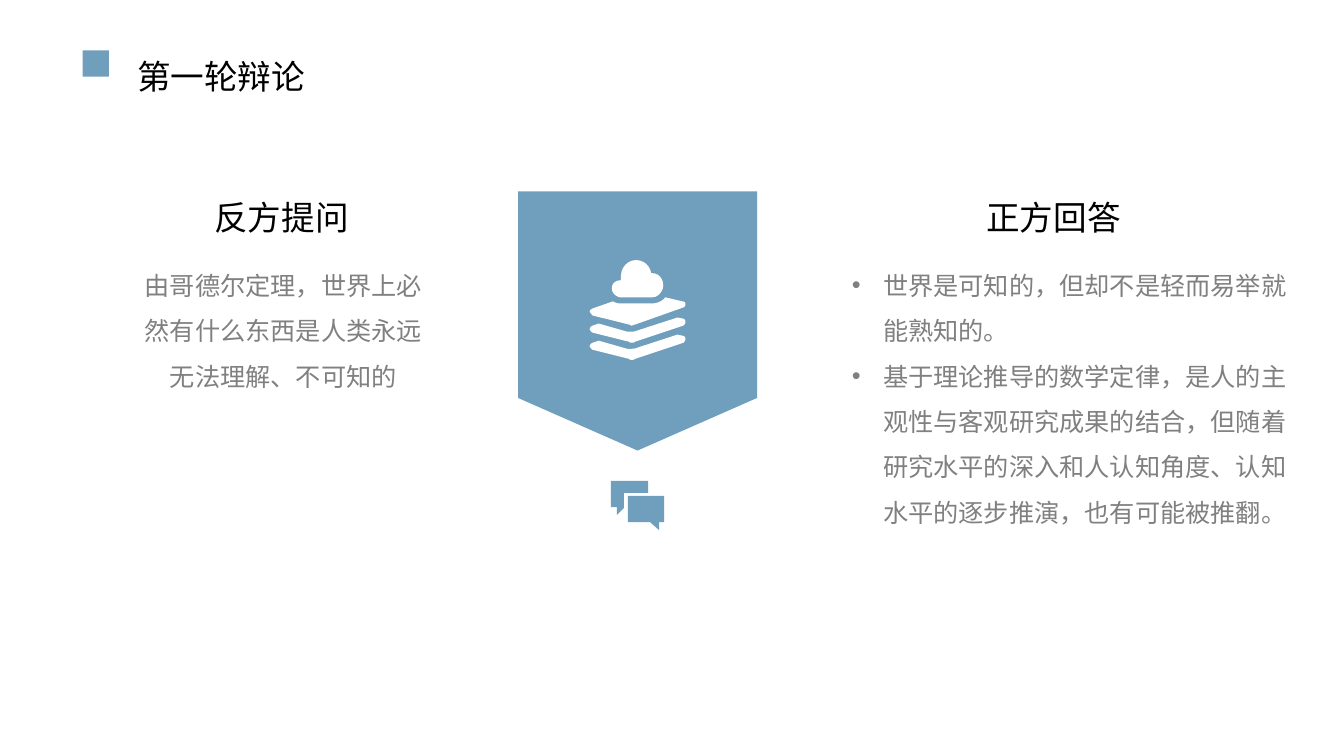
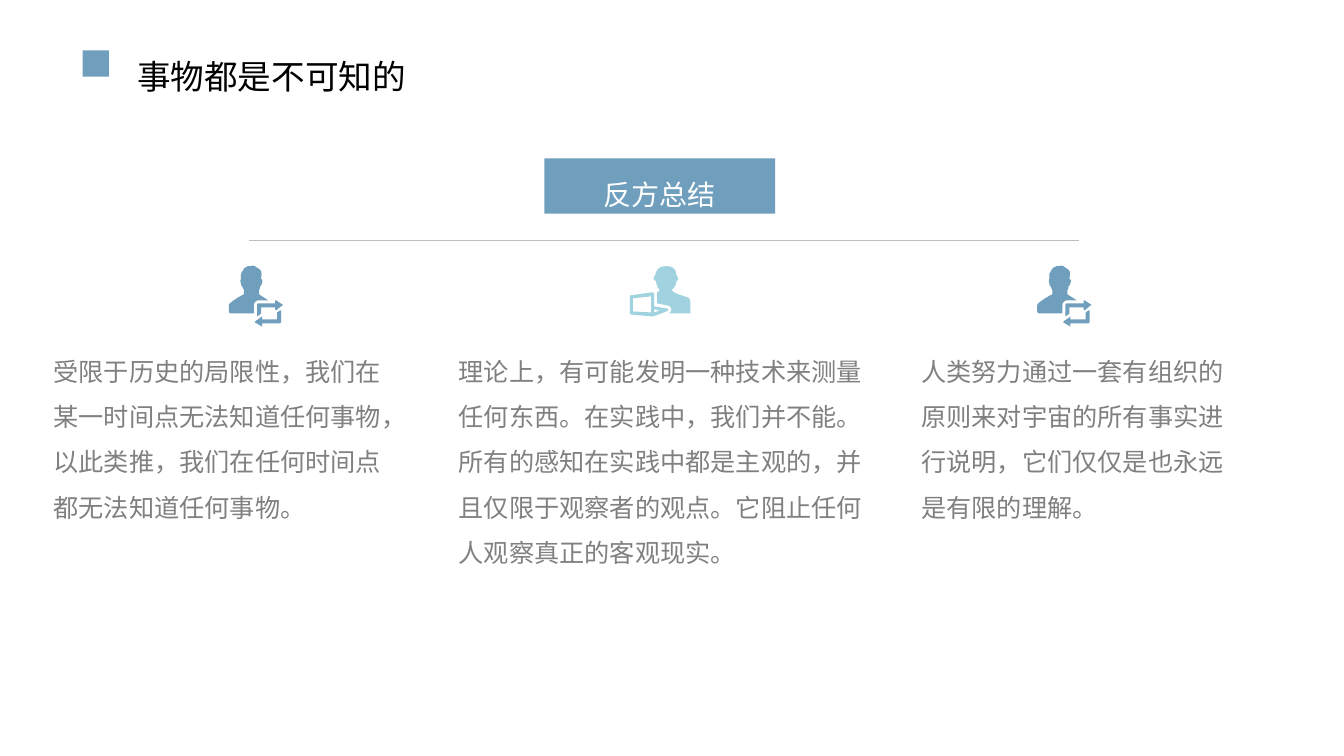
from dataclasses import dataclass

from lxml import etree
from pptx import Presentation
from pptx import util as u
from pptx.dml.color import RGBColor
from pptx.enum import shapes, text
from pptx.oxml.ns import qn

CELL = u.Inches(0.1)  # all boxes are measured in cells of this square grid
COLUMNS, ROWS = 133.33, 75


@dataclass(frozen=True)
class Theme:
    font: str = "Noto Sans CJK SC"
    accent: str = "6F9FBD"
    light: str = "A1D2E0"
    white: str = "FFFFFF"
    ink: str = "000000"
    body: str = "808080"
    rule: str = "BFBFBF"
    heading_size: int = 24
    banner_size: int = 20
    body_size: int = 18
    body_spacing: float = 1.5


THEME = Theme()


@dataclass(frozen=True)
class Box:
    x: float
    y: float
    w: float
    h: float

    def inner(self, dx, dy, w, h):
        return Box(self.x + dx, self.y + dy, w, h)

    @property
    def emu(self):
        return [u.Emu(round(v * CELL)) for v in (self.x, self.y, self.w, self.h)]


# Icon outlines in tenths of a cell: two numbers make a corner,
# six numbers make a Bezier curve, one string is one closed outline.
SHEET = ("87,74 92,75 94,75,95,77,95,78 95,80,94,81,93,82 45,98 "
         "44,99,43,99,41,99 41,99,40,99,39,98 3,89 2,89,1,87,0,86 "
         "0,84,1,83,3,82 9,80 37,88 39,88,40,88,41,88 43,88,45,88,47,87")
TOP_SHEET = ("75,37 92,41 94,41,95,42,95,44 95,45,94,47,93,47 45,64 "
             "44,64,43,65,41,65 41,65,40,64,39,64 3,55 2,54,1,53,0,51 "
             "0,50,1,49,3,48 23,41 25,42,27,43,30,43 62,43 67,43,72,41,75,37")
CLOUD = ("46,0 54,0,60,6,61,13 62,13 68,13,73,18,73,25 73,31,68,37,62,37 30,37 "
         "26,36,22,33,22,28 22,23,26,20,31,20 31,18,31,17,31,16 31,7,38,0,46,0")
CHAT = ["17,15 53,15 53,41 48,41 48,49 39,41 17,41",
        "0,0 37,0 37,12 13,12 13,27 6,34 6,26 0,26"]
PERSON_SWAP = [
    "51,44 52,44 52,55 52,56,51,57,50,57 33,57 33,60 26,56 26,55 33,50 33,53 "
    "48,53 48,46",
    "46,34 47,34 53,38 54,39 53,39 47,44 46,43 46,41 32,41 32,47 31,48 28,50 "
    "28,39 28,38,28,37,30,37 46,37",
    "22,0 24,-1,26,0,27,1 29,2,30,3,30,3 30,3,34,4,32,12 32,13 33,13,34,14,33,17 "
    "32,19,32,20,31,20 31,21,31,22,30,24 30,28 31,29,35,31,39,34 30,34 "
    "27,34,25,36,25,39 25,47 2,47 1,47,0,46,0,45 0,40 0,39,0,38,1,37 "
    "7,32,13,29,15,28 15,24 14,22,14,21,13,20 13,20,12,19,12,17 "
    "11,14,12,13,12,13 12,12 12,11,12,9,12,8 13,6,14,4,15,3 15,2,16,2,17,1 "
    "18,1,19,0,19,0 20,0,21,0,22,0",
]
PERSON_READING = [
    "24,43 24,46 30,44",
    "21,30 3,32 3,45 21,46",
    "22,26 23,26,23,27,24,27 24,40 36,42 37,42,37,42,38,43 38,44,37,45,36,45 "
    "23,50 22,50 1,48 0,48,0,47,0,46 0,30 0,29,0,29,1,29",
    "36,0 45,0,46,6,46,9 46,9,50,13,46,15 46,15,46,20,42,23 42,23,40,25,48,28 "
    "57,31 57,31,60,31,60,38 60,47 39,47 40,46,41,45,41,43 41,41,39,39,37,39 "
    "27,37 27,28 27,28,27,27,27,26 31,24,29,23,29,23 26,20,26,15,26,15 "
    "21,13,25,9,25,9 26,6,27,0,36,0",
]


def rgb(value):
    return RGBColor.from_string(value)


def paint(shape, color):
    shape.fill.solid()
    shape.fill.fore_color.rgb = rgb(color)
    shape.line.fill.background()
    shape.shadow.inherit = False


def outline_points(outline, steps=6):
    """Turn one outline string into corner points, sampling its curves."""
    points = []
    for token in outline.split():
        numbers = [float(n) for n in token.split(",")]
        pairs = list(zip(numbers[::2], numbers[1::2]))
        if len(pairs) == 1:
            points += pairs
            continue
        curve = [points[-1]] + pairs
        for step in range(1, steps + 1):
            t = step / steps
            weights = ((1 - t) ** 3, 3 * t * (1 - t) ** 2, 3 * t * t * (1 - t), t ** 3)
            points.append(tuple(sum(k * p[axis] for k, p in zip(weights, curve))
                                for axis in (0, 1)))
    return points


def lifted(points, amount):
    return [(x, y - amount) for x, y in points]


def draw_icon(slide, box, outlines, color):
    """Draw lists of points, in tenths of a cell, from the box's corner."""
    builder = None
    for points in outlines:
        start, *rest = [(x * CELL / 10, y * CELL / 10) for x, y in points]
        if builder is None:
            builder = slide.shapes.build_freeform(*start)
        else:
            builder.move_to(*start)
        builder.add_line_segments(rest, close=True)
    left, top = box.emu[:2]
    paint(builder.convert_to_shape(left, top), color)


def set_bullet(paragraph, bulleted):
    props = paragraph._p.get_or_add_pPr()
    indent = u.Inches(0.31) if bulleted else 0
    props.set("marL", str(int(indent)))
    props.set("indent", str(-int(indent)))
    if bulleted:
        etree.SubElement(props, qn("a:buFont")).set("typeface", "Arial")
        etree.SubElement(props, qn("a:buChar")).set("char", "•")
    else:
        etree.SubElement(props, qn("a:buNone"))


def write(holder, box, lines, size, color, spacing=1.0, bulleted=False,
          align=text.PP_ALIGN.LEFT, anchor=text.MSO_ANCHOR.TOP):
    """Move a placeholder to the box and fill it, one paragraph per line."""
    holder.left, holder.top, holder.width, holder.height = box.emu
    frame = holder.text_frame
    frame.word_wrap = True
    frame.auto_size = text.MSO_AUTO_SIZE.NONE
    frame.vertical_anchor = anchor
    for number, line in enumerate(lines):
        paragraph = frame.add_paragraph() if number else frame.paragraphs[0]
        set_bullet(paragraph, bulleted)
        paragraph.alignment = align
        paragraph.line_spacing = spacing
        paragraph.space_before = paragraph.space_after = u.Pt(0)
        run = paragraph.add_run()
        run.text = line
        run.font.size = u.Pt(size)
        run.font.bold = False
        run.font.color.rgb = rgb(color)
        run.font.name = THEME.font
        east_asian = etree.SubElement(run.font._element, qn("a:ea"))
        east_asian.set("typeface", THEME.font)


def write_heading(holder, box, heading):
    write(holder, box, [heading], THEME.heading_size, THEME.ink)


def write_body(holder, box, lines, **options):
    write(holder, box, lines, THEME.body_size, THEME.body, THEME.body_spacing, **options)


def titled_slide(deck, title):
    """Add a slide with the square marker and title; return it and its text holders."""
    slide = deck.slides.add_slide(deck.slide_layouts.get_by_name("Comparison"))
    band = Box(8.2, 5, 110, 5)
    marker = slide.shapes.add_shape(shapes.MSO_SHAPE.RECTANGLE,
                                    *band.inner(0, 0, 2.6, 2.6).emu)
    paint(marker, THEME.accent)
    write_heading(slide.shapes.title, band.inner(4.4, 0, 60, band.h), title)
    holders = [p for p in slide.placeholders if p.placeholder_format.idx > 0]
    return slide, holders


def debate_side(holders, box, heading, heading_width, lines, **options):
    heading_holder, body_holder = holders
    middle = (box.w - heading_width) / 2
    write_heading(heading_holder, box.inner(middle, 0, heading_width, 5), heading)
    write_body(body_holder, box.inner(0, 5.8, box.w, box.h - 5.8), lines, **options)


def badge(slide, box):
    """Downward pentagon with the cloud stack, and the chat sign below it."""
    turned = box.inner((box.w - box.h) / 2, (box.h - box.w) / 2, box.h, box.w)
    pentagon = slide.shapes.add_shape(shapes.MSO_SHAPE.PENTAGON, *turned.emu)
    pentagon.rotation = 90
    pentagon.adjustments[0] = 0.22
    paint(pentagon, THEME.accent)
    sheet = outline_points(SHEET)
    stack = [sheet, lifted(sheet, 17), outline_points(TOP_SHEET), outline_points(CLOUD)]
    draw_icon(slide, box.inner(7.1, 6.8, 9.5, 9.9), stack, THEME.white)
    draw_icon(slide, box.inner(9.2, 28.7, 5.3, 4.9), map(outline_points, CHAT), THEME.accent)


def debate_slide(deck):
    slide, holders = titled_slide(deck, "第一轮辩论")
    badge(slide, Box(51.4, 19, 23.7, 25.7))
    debate_side(holders[:2], Box(13.2, 19, 29.8, 20), "反方提问", 15.7,
                ["由哥德尔定理，世界上必然有什么东西是人类永远无法理解、不可知的"],
                align=text.PP_ALIGN.CENTER)
    debate_side(holders[2:], Box(83.5, 19, 45.8, 42.6), "正方回答", 19.1,
                ["世界是可知的，但却不是轻而易举就能熟知的。",
                 "基于理论推导的数学定律，是人的主观性与客观研究成果的结合，"
                 "但随着研究水平的深入和人认知角度、认知水平的逐步推演，也有可能被推翻。"],
                bulleted=True)


def summary_head(slide, holder, box, heading):
    """Filled banner at the top of the box, with a rule along its foot."""
    write(holder, box.inner(29.3, 0, 22.9, 5.5), [heading], THEME.banner_size, THEME.white,
          THEME.body_spacing, align=text.PP_ALIGN.CENTER, anchor=text.MSO_ANCHOR.MIDDLE)
    paint(holder, THEME.accent)
    left, top, width, height = box.emu
    rule = slide.shapes.add_connector(shapes.MSO_CONNECTOR.STRAIGHT,
                                      left, top + height, left + width, top + height)
    rule.line.color.rgb = rgb(THEME.rule)
    rule.line.width = u.Pt(0.25)
    etree.SubElement(rule._element.spPr, qn("a:effectLst"))


def argument_columns(slide, holders, box, columns):
    """Icons at an equal pitch along the top of the box, each over its argument."""
    pitch = 40.1
    for number, (holder, column) in enumerate(zip(holders, columns)):
        icon, icon_width, color, left, width, argument = column
        icon_left = 21.1 + number * pitch - icon_width / 2
        draw_icon(slide, box.inner(icon_left, 0, icon_width, 6),
                  map(outline_points, icon), color)
        write_body(holder, box.inner(left, 6.9, width, box.h - 6.9), [argument])


def summary_slide(deck):
    slide, (banner, *arguments) = titled_slide(deck, "事物都是不可知的")
    summary_head(slide, banner, Box(24.7, 15.7, 82.3, 8.1), "反方总结")
    argument_columns(slide, arguments, Box(4.3, 26.4, 119.7, 30.1), [
        (PERSON_SWAP, 5.4, THEME.accent, 0, 34.9,
         "受限于历史的局限性，我们在某一时间点无法知道任何事物，"
         "以此类推，我们在任何时间点都无法知道任何事物。"),
        (PERSON_READING, 6, THEME.light, 40.2, 44.3,
         "理论上，有可能发明一种技术来测量任何东西。在实践中，我们并不能。"
         "所有的感知在实践中都是主观的，并且仅限于观察者的观点。"
         "它阻止任何人观察真正的客观现实。"),
        (PERSON_SWAP, 5.4, THEME.accent, 86.1, 33.6,
         "人类努力通过一套有组织的原则来对宇宙的所有事实进行说明，"
         "它们仅仅是也永远是有限的理解。"),
    ])


def main():
    deck = Presentation()
    deck.slide_width, deck.slide_height = Box(0, 0, COLUMNS, ROWS).emu[2:]
    debate_slide(deck)
    summary_slide(deck)
    deck.save("out.pptx")


if __name__ == "__main__":
    main()
